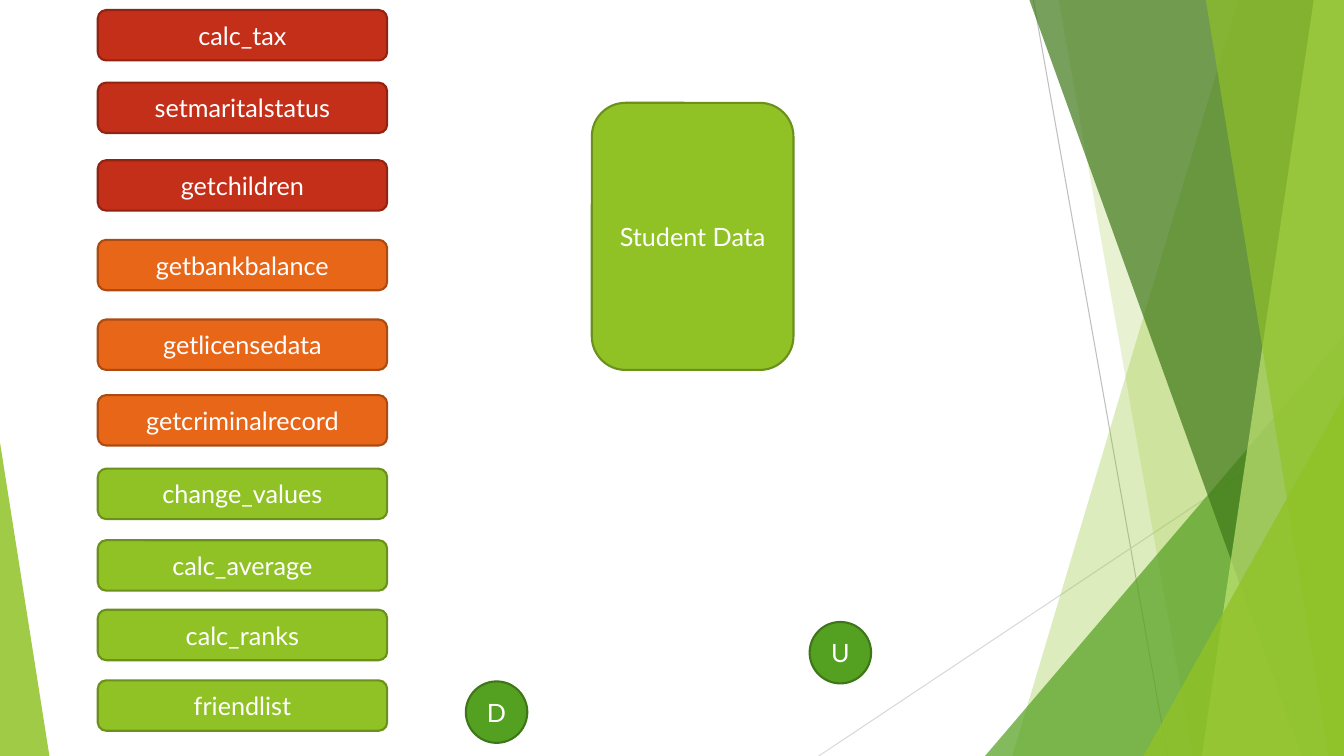
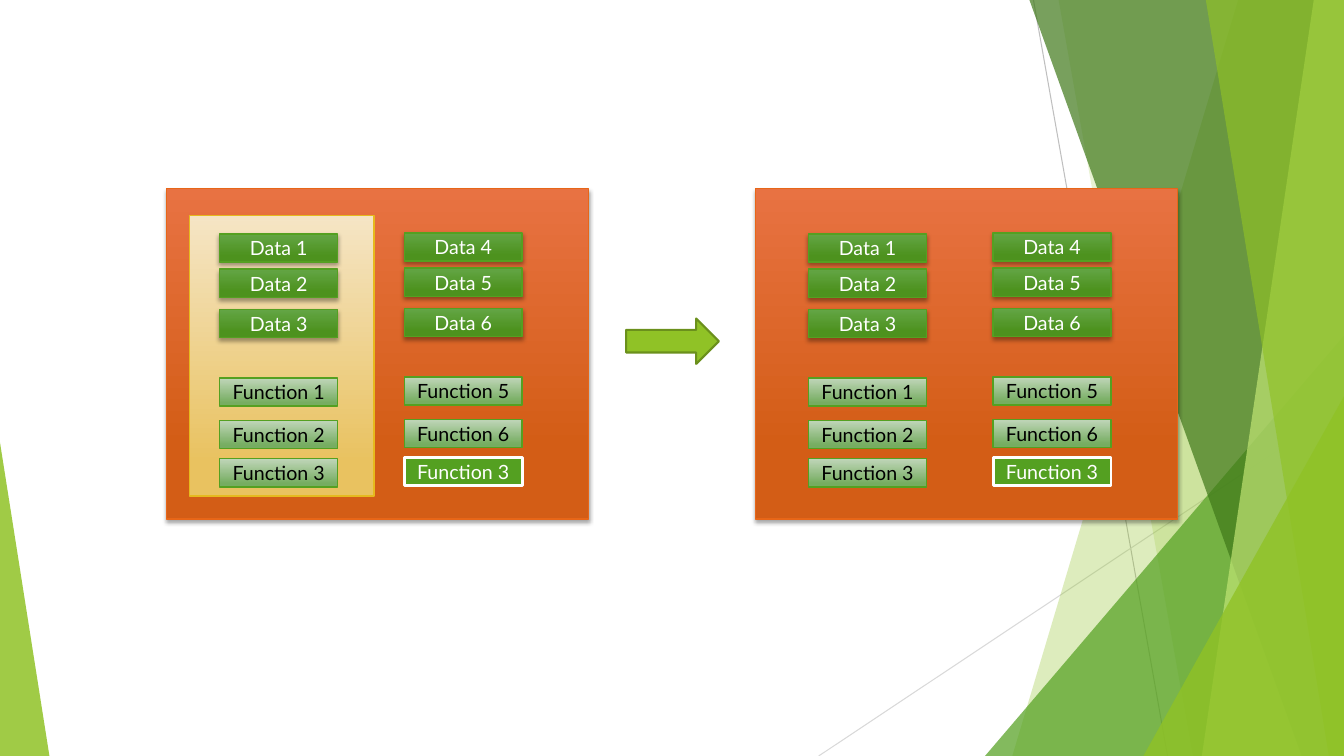
from dataclasses import dataclass
from typing import Optional

from pptx import Presentation
from pptx.dml.color import RGBColor
from pptx.enum.shapes import MSO_CONNECTOR, MSO_SHAPE
from pptx.enum.text import MSO_ANCHOR, PP_ALIGN
from pptx.oxml.ns import qn
from pptx.shapes.autoshape import Shape
from pptx.slide import Slide, SlideLayout
from pptx.util import Inches, Pt
from lxml.etree import SubElement

WIDTH, HEIGHT = 13.33, 7.5


@dataclass(frozen=True)
class Theme:
    font: str = "Lato"
    label_size: int = 18
    small_size: int = 14
    white: str = "FFFFFF"
    black: str = "000000"
    lime: str = "90C226"
    lime_edge: str = "6B901C"
    pale_lime: str = "C0E474"
    green: str = "54A021"
    green_edge: str = "3E7618"
    dark_green: str = "3F7819"
    red: str = "C42F1A"
    red_edge: str = "912313"
    orange: str = "E76618"
    orange_edge: str = "AB4B12"
    gold: str = "E6B91E"
    grey: str = "BFBFBF"
    light_grey: str = "D9D9D9"
    orange_fade: tuple[str, str] = ("E87242", "D35D16")
    gold_fade: tuple[str, str] = ("F5E5C5", "E9C260")
    green_fade: tuple[str, str] = ("63A545", "4D921E")
    pale_green_fade: tuple[str, str] = ("C0D6B9", "76AD61")


THEME = Theme()


@dataclass(frozen=True)
class Style:
    fill: str | tuple[str, str]
    edge: str
    edge_width: float = 1.5
    text: str = THEME.white
    size: int = THEME.label_size
    fade_end: float = 0.78
    shadow: bool = False


LIME = Style(THEME.lime, THEME.lime_edge)
GREEN = Style(THEME.green, THEME.green_edge)
RED = Style(THEME.red, THEME.red_edge)
ORANGE = Style(THEME.orange, THEME.orange_edge)
PANEL = Style(THEME.orange_fade, THEME.orange, 1, shadow=True)
INHERITED = Style(THEME.gold_fade, THEME.gold, 1, fade_end=0.88)
DATA = Style(THEME.green_fade, THEME.green, 1, size=THEME.small_size, shadow=True)
FUNCTION = Style(THEME.pale_green_fade, THEME.green, 1, THEME.black,
                 THEME.small_size, 0.88)
OVERRIDE = Style(THEME.green, THEME.white, 2, size=THEME.small_size)


@dataclass(frozen=True)
class Box:
    left: float
    top: float
    width: float
    height: float


@dataclass(frozen=True)
class Ray:
    start: tuple[float, float]
    end: tuple[float, float]
    color: str


@dataclass(frozen=True)
class Facet:
    """A translucent band; the right edge is the slide edge."""
    top_left: float
    bottom_left: float
    color: str
    opacity: int


@dataclass(frozen=True)
class Wedge:
    """A translucent right triangle standing on the slide's bottom edge."""
    box: Box
    apex: float
    color: str
    opacity: int


@dataclass(frozen=True)
class Entry:
    text: str
    top: float
    style: Style


RAYS = [
    Ray((10.25, 0), (11.58, HEIGHT), THEME.grey),
    Ray((WIDTH, 4.03), (8.12, HEIGHT), THEME.light_grey),
]
# Listed from back to front
BACKDROP = [
    Facet(12.28, 10.04, THEME.lime, 30),
    Facet(10.5, 11.83, THEME.lime, 20),
    Wedge(Box(9.77, 3.33, 3.56, 4.17), 1, THEME.green, 72),
    Facet(10.21, 12.91, THEME.dark_green, 70),
    Facet(13.03, 11.92, THEME.pale_lime, 70),
    Facet(11.96, 13.18, THEME.lime, 65),
    Wedge(Box(11.34, 3.93, 1.99, 3.57), 1, THEME.lime, 80),
    Wedge(Box(0, 4.39, 0.49, 3.11), 0, THEME.lime, 85),
]

METHODS = [
    Entry("calc_tax", 0.1, RED),
    Entry("setmaritalstatus", 0.82, RED),
    Entry("getchildren", 1.59, RED),
    Entry("getbankbalance", 2.38, ORANGE),
    Entry("getlicensedata", 3.17, ORANGE),
    Entry("getcriminalrecord", 3.92, ORANGE),
    Entry("change_values", 4.65, LIME),
    Entry("calc_average", 5.36, LIME),
    Entry("calc_ranks", 6.05, LIME),
    Entry("friendlist", 6.75, LIME),
]

# Members of a class panel: left column, then right column
PANEL_TOP = 1.87
MEMBER_TOPS = [2.32, 2.67, 3.07, 3.75, 4.17, 4.55]
COLUMNS = [
    (0.53, 0, [("Data 1", DATA), ("Data 2", DATA), ("Data 3", DATA),
               ("Function 1", FUNCTION), ("Function 2", FUNCTION),
               ("Function 3", FUNCTION)]),
    (2.36, -0.01, [("Data 4", DATA), ("Data 5", DATA), ("Data 6", DATA),
                   ("Function 5", FUNCTION), ("Function 6", FUNCTION),
                   ("Function 3", OVERRIDE)]),
]


def rgb(color: str) -> RGBColor:
    return RGBColor.from_string(color)


def add_shadow(shape: Shape) -> None:
    effects = shape.element.spPr.find(qn("a:effectLst"))
    shadow = SubElement(effects, qn("a:outerShdw"), blurRad=str(Pt(3)),
                        dist=str(Pt(2)), dir="5400000", rotWithShape="0")
    color = SubElement(shadow, qn("a:srgbClr"), val=THEME.black)
    SubElement(color, qn("a:alpha"), val="35000")


def add_box(slide: Slide, kind: MSO_SHAPE, box: Box, style: Style,
            text: Optional[str] = None) -> None:
    shape = slide.shapes.add_shape(kind, Inches(box.left), Inches(box.top),
                                   Inches(box.width), Inches(box.height))
    if isinstance(style.fill, tuple):
        shape.fill.gradient()
        shape.fill.gradient_angle = 270
        positions = (0, style.fade_end)
        for stop, color, position in zip(shape.fill.gradient_stops, style.fill, positions):
            stop.color.rgb = rgb(color)
            stop.position = position
    else:
        shape.fill.solid()
        shape.fill.fore_color.rgb = rgb(style.fill)
    shape.line.color.rgb = rgb(style.edge)
    shape.line.width = Pt(style.edge_width)
    shape.shadow.inherit = False
    if style.shadow:
        add_shadow(shape)
    if text:
        frame = shape.text_frame
        frame.text = text
        frame.vertical_anchor = MSO_ANCHOR.MIDDLE
        para = frame.paragraphs[0]
        para.alignment = PP_ALIGN.CENTER
        font = para.runs[0].font
        font.name, font.size = THEME.font, Pt(style.size)
        font.color.rgb = rgb(style.text)


def add_ray(slide: Slide, ray: Ray) -> None:
    points = [Inches(value) for value in (*ray.start, *ray.end)]
    line = slide.shapes.add_connector(MSO_CONNECTOR.STRAIGHT, *points)
    line.line.color.rgb = rgb(ray.color)
    line.line.width = Pt(0.75)
    SubElement(line.element.spPr, qn("a:effectLst"))


def add_backdrop_part(slide: Slide, part: Facet | Wedge) -> None:
    if isinstance(part, Facet):
        corners = [(WIDTH, 0), (WIDTH, HEIGHT), (part.bottom_left, HEIGHT)]
        builder = slide.shapes.build_freeform(Inches(part.top_left), 0)
        builder.add_line_segments([(Inches(x), Inches(y)) for x, y in corners])
        shape = builder.convert_to_shape()
    else:
        box = part.box
        shape = slide.shapes.add_shape(
            MSO_SHAPE.ISOSCELES_TRIANGLE, Inches(box.left), Inches(box.top),
            Inches(box.width), Inches(box.height))
        shape.adjustments[0] = part.apex
    shape.fill.solid()
    shape.fill.fore_color.rgb = rgb(part.color)
    color = shape.element.spPr.find(qn("a:solidFill")).find(qn("a:srgbClr"))
    SubElement(color, qn("a:alpha"), val=str(part.opacity * 1000))
    shape.line.fill.background()
    shape.shadow.inherit = False


def move_backdrop_to_layout(slide: Slide, layout: SlideLayout) -> None:
    """Draw the shared backdrop, then hand it over to the layout."""
    for placeholder in list(layout.placeholders):
        layout.shapes.element.remove(placeholder.element)
    for ray in RAYS:
        add_ray(slide, ray)
    for part in BACKDROP:
        add_backdrop_part(slide, part)
    for shape in list(slide.shapes):
        layout.shapes.element.append(shape.element)


def draw_student_data(slide: Slide) -> None:
    for method in METHODS:
        add_box(slide, MSO_SHAPE.ROUNDED_RECTANGLE,
                Box(0.97, method.top, 2.87, 0.5), method.style, method.text)
    add_box(slide, MSO_SHAPE.ROUNDED_RECTANGLE, Box(5.87, 1.02, 2, 2.65),
            LIME, "Student Data")
    for text, left, top in (("U", 8.03, 6.17), ("D", 4.62, 6.76)):
        add_box(slide, MSO_SHAPE.OVAL, Box(left, top, 0.61, 0.61), GREEN, text)


def draw_class_panel(slide: Slide, left: float, shows_parent: bool) -> None:
    add_box(slide, MSO_SHAPE.RECTANGLE, Box(left, PANEL_TOP, 4.19, 3.28), PANEL)
    if shows_parent:
        add_box(slide, MSO_SHAPE.RECTANGLE,
                Box(left + 0.23, PANEL_TOP + 0.27, 1.83, 2.78), INHERITED)
    for indent, shift, members in COLUMNS:
        for top, (text, style) in zip(MEMBER_TOPS, members):
            add_box(slide, MSO_SHAPE.RECTANGLE,
                    Box(left + indent, top + shift, 1.17, 0.28), style, text)


def draw_inheritance(slide: Slide) -> None:
    draw_class_panel(slide, 1.65, shows_parent=True)
    add_box(slide, MSO_SHAPE.RIGHT_ARROW, Box(6.21, 3.16, 0.92, 0.45), LIME)
    draw_class_panel(slide, 7.49, shows_parent=False)


def main() -> None:
    deck = Presentation()
    deck.slide_width, deck.slide_height = Inches(WIDTH), Inches(HEIGHT)
    layout = deck.slide_layouts[6]
    pages = [deck.slides.add_slide(layout) for _ in range(2)]
    move_backdrop_to_layout(pages[0], layout)
    draw_student_data(pages[0])
    draw_inheritance(pages[1])
    deck.save("out.pptx")


if __name__ == "__main__":
    main()
